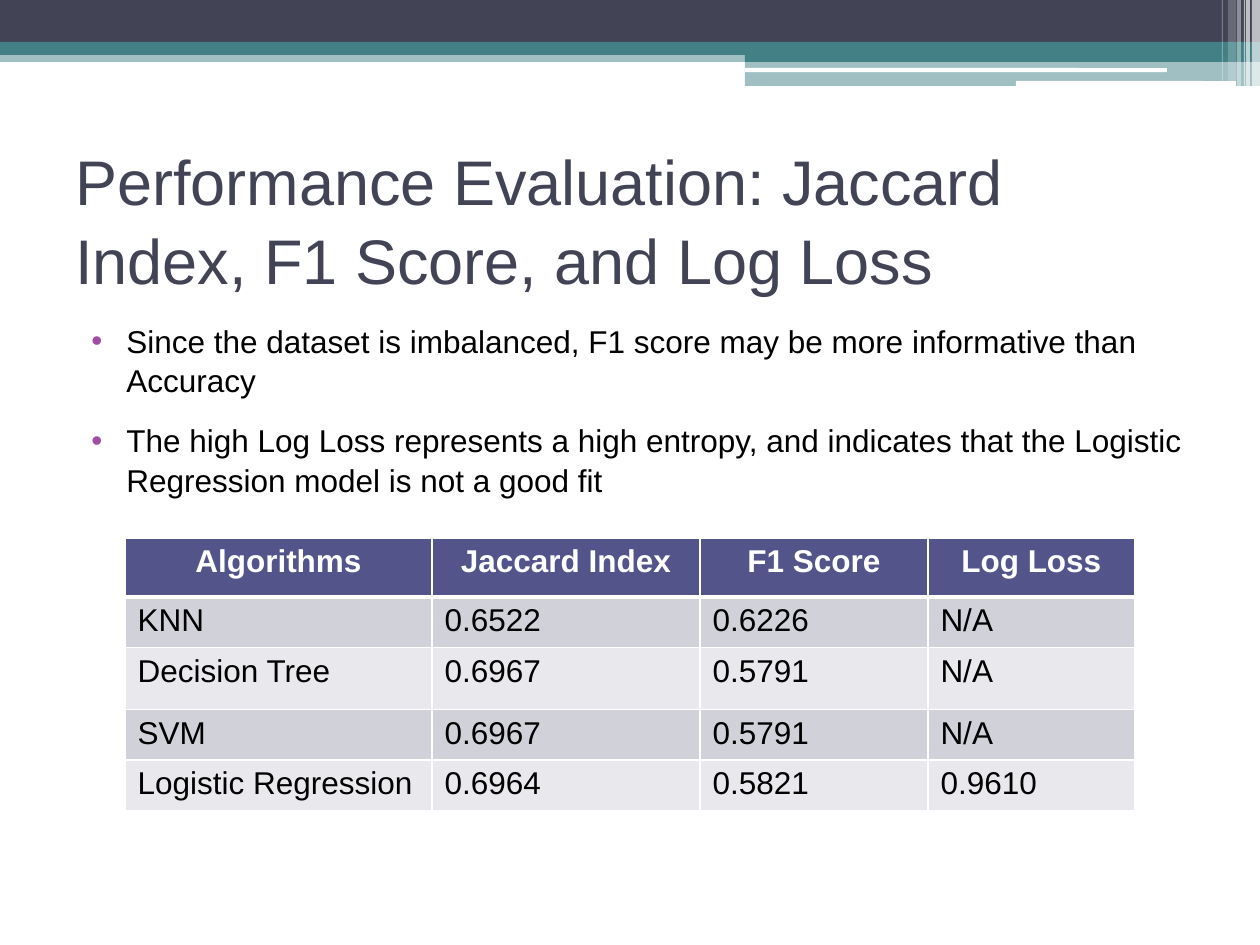
"""Builds the performance evaluation slide with its banner, bullets and score table."""
from dataclasses import dataclass

from lxml.etree import SubElement
from pptx import Presentation
from pptx.dml.color import RGBColor
from pptx.enum.shapes import MSO_SHAPE
from pptx.enum.text import MSO_ANCHOR, PP_ALIGN
from pptx.oxml.ns import qn
from pptx.util import Pt


@dataclass(frozen=True)
class Theme:
    font: str = "Arial"
    navy: str = "424456"
    teal: str = "438086"
    white: str = "FFFFFF"
    black: str = "000000"
    bullet: str = "A04DA3"
    header: str = "53548A"
    bands: tuple = ("D1D1DA", "E9E9ED")
    title_size: int = 36
    text_size: int = 18
    line_spacing: float = 1.04


THEME = Theme()
PX = 914400 // 126
SLIDE_SIZE = (1260, 945)

TITLE = "Performance Evaluation: Jaccard Index, F1 Score, and Log Loss"
TITLE_BOX = (63, 145, 1134, 147)
POINTS = [
    "Since the dataset is imbalanced, F1 score may be more informative than Accuracy",
    "The high Log Loss represents a high entropy, and indicates that the Logistic "
    "Regression model is not a good fit",
]
POINTS_BOX = (64, 314, 1134, 179)
POINT_INDENT, BULLET_HANG = 50, 35

SCORES = [
    ("Algorithms", "Jaccard Index", "F1 Score", "Log Loss"),
    ("KNN", "0.6522", "0.6226", "N/A"),
    ("Decision Tree", "0.6967", "0.5791", "N/A"),
    ("SVM", "0.6967", "0.5791", "N/A"),
    ("Logistic Regression", "0.6964", "0.5821", "0.9610"),
]
SCORES_CORNER = (125, 538)
COLUMN_WIDTHS = (307, 268, 228, 207)
ROW_HEIGHTS = (59, 47, 62, 47, 47)

BANNER = [
    ((0, 50, 1260, 12), THEME.teal, 50),
    ((0, 0, 1260, 42), THEME.navy, 100),
    ((0, 42, 1260, 13), THEME.teal, 100),
    ((745, 49, 515, 13), THEME.teal, 100),
    ((745, 61, 515, 25), THEME.teal, 50),
]
WHITE_LINES = [(745, 68, 422, 4), (1016, 81, 220, 5)]
STRIPES = [
    (1252, 8, 86, 65),
    (1246, 4, 86, 65),
    (1244, 1, 86, 60),
    (1237, 4, 86, 40),
    (1228, 8, 81, 20),
    (1222, 1, 81, 30),
]


def emu(box):
    return [length * PX for length in box]


def add_bar(slide, box, color, opacity=100, kind=MSO_SHAPE.RECTANGLE):
    bar = slide.shapes.add_shape(kind, *emu(box))
    bar.shadow.inherit = False
    bar.line.fill.background()
    bar.fill.solid()
    bar.fill.fore_color.rgb = RGBColor.from_string(color)
    if opacity < 100:
        tint = bar.fill._xPr.find(qn("a:solidFill"))[0]
        SubElement(tint, qn("a:alpha"), val=str(opacity * 1000))


def style(paragraph, size, color, bold=False):
    for run in paragraph.runs:
        run.font.name = THEME.font
        run.font.size = Pt(size)
        run.font.bold = bold
        run.font.color.rgb = RGBColor.from_string(color)


def add_text(slide, box, lines, size, color):
    frame = slide.shapes.add_textbox(*emu(box)).text_frame
    frame.word_wrap = True
    frame.text = "\n".join(lines)
    for paragraph in frame.paragraphs:
        paragraph.line_spacing = THEME.line_spacing
        style(paragraph, size, color)
    return frame


def add_bullet(paragraph):
    paragraph.space_before = paragraph.space_after = Pt(6)
    props = paragraph._p.get_or_add_pPr()
    props.set("marL", str(POINT_INDENT * PX))
    props.set("indent", str(-BULLET_HANG * PX))
    SubElement(SubElement(props, qn("a:buClr")), qn("a:srgbClr"), val=THEME.bullet)
    SubElement(props, qn("a:buFont"), typeface=THEME.font)
    SubElement(props, qn("a:buChar"), char="•")


def set_borders(cell, bottom):
    props = cell._tc.get_or_add_tcPr()
    widths = {"a:lnL": 1, "a:lnR": 1, "a:lnT": 1, "a:lnB": bottom}
    for position, (side, width) in enumerate(widths.items()):
        border = SubElement(props, qn(side), w=str(Pt(width)))
        SubElement(SubElement(border, qn("a:solidFill")), qn("a:srgbClr"), val=THEME.white)
        props.insert(position, border)


def add_scores(slide):
    size = (sum(COLUMN_WIDTHS), sum(ROW_HEIGHTS))
    table = slide.shapes.add_table(
        len(SCORES), len(COLUMN_WIDTHS), *emu(SCORES_CORNER + size)
    ).table
    for column, width in zip(table.columns, COLUMN_WIDTHS):
        column.width = width * PX
    for number, (row, height, values) in enumerate(zip(table.rows, ROW_HEIGHTS, SCORES)):
        row.height = height * PX
        is_header = number == 0
        band = THEME.header if is_header else THEME.bands[(number - 1) % 2]
        for cell, value in zip(row.cells, values):
            cell.text_frame.text = value
            paragraph = cell.text_frame.paragraphs[0]
            paragraph.alignment = PP_ALIGN.CENTER if is_header else PP_ALIGN.LEFT
            style(paragraph, THEME.text_size, THEME.white if is_header else THEME.black, is_header)
            cell.fill.solid()
            cell.fill.fore_color.rgb = RGBColor.from_string(band)
            set_borders(cell, 3 if number == 0 else 1)
            if number == 1:
                cell._tc.tcPr.find(qn("a:lnT")).set("w", str(Pt(3)))


def main():
    deck = Presentation()
    deck.slide_width, deck.slide_height = emu(SLIDE_SIZE)
    slide = deck.slides.add_slide(deck.slide_layouts[6])
    for box, color, opacity in BANNER:
        add_bar(slide, box, color, opacity)
    for box in WHITE_LINES:
        add_bar(slide, box, THEME.white, kind=MSO_SHAPE.ROUNDED_RECTANGLE)
    for left, width, height, opacity in STRIPES:
        add_bar(slide, (left, 0, width, height), THEME.white, opacity)
    title = add_text(slide, TITLE_BOX, [TITLE], THEME.title_size, THEME.navy)
    title.vertical_anchor = MSO_ANCHOR.MIDDLE
    points = add_text(slide, POINTS_BOX, POINTS, THEME.text_size, THEME.black)
    for paragraph in points.paragraphs:
        add_bullet(paragraph)
    add_scores(slide)
    deck.save("out.pptx")


if __name__ == "__main__":
    main()
